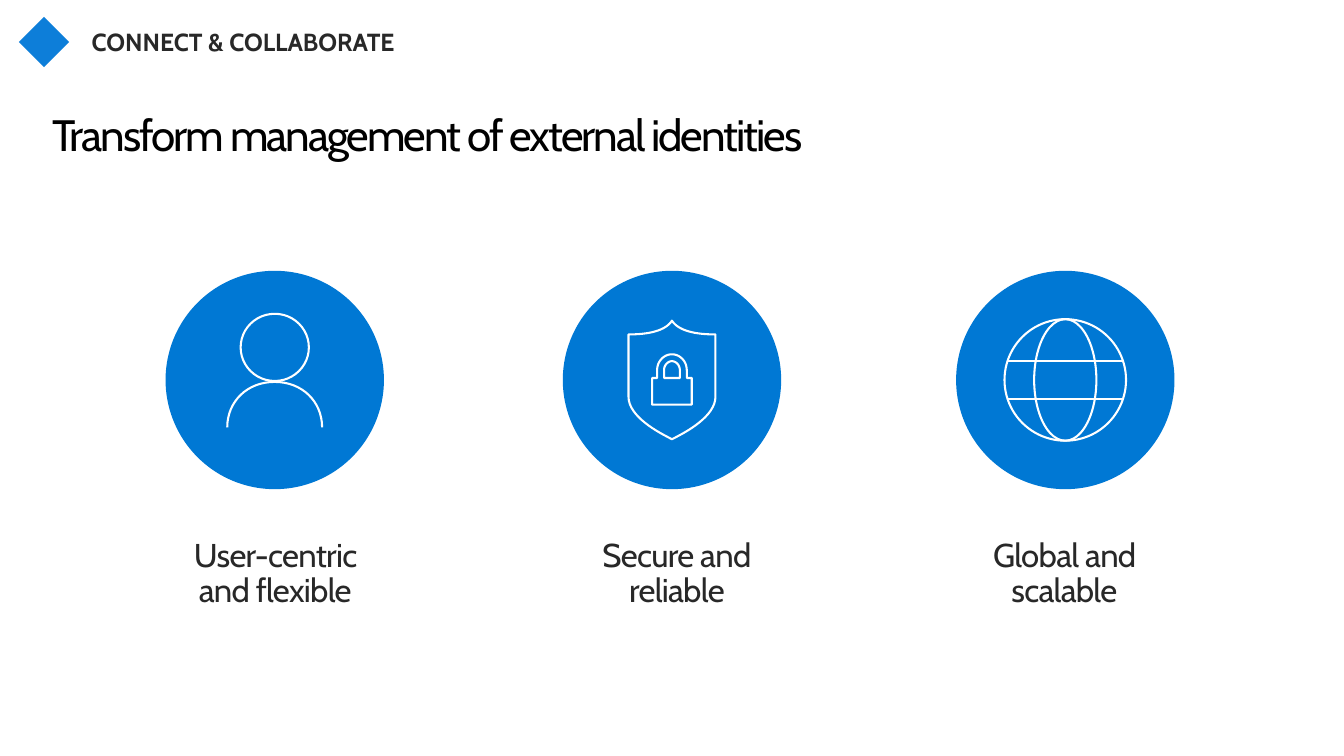
from lxml import etree
from pptx import Presentation
from pptx.dml.color import RGBColor
from pptx.enum.shapes import MSO_CONNECTOR, MSO_SHAPE
from pptx.enum.text import MSO_ANCHOR, MSO_AUTO_SIZE, PP_ALIGN
from pptx.oxml.ns import qn
from pptx.util import Inches, Pt

OVAL, DIAMOND = MSO_SHAPE.OVAL, MSO_SHAPE.DIAMOND
STRAIGHT = MSO_CONNECTOR.STRAIGHT
TOP, FIT = MSO_ANCHOR.TOP, MSO_AUTO_SIZE.SHAPE_TO_FIT_TEXT
LEFT, CENTER = PP_ALIGN.LEFT, PP_ALIGN.CENTER

THEME = {
    "font": "Cabin",
    "disc": RGBColor(0x00, 0x78, 0xD4),
    "badge": RGBColor(0x00, 0x78, 0xD7),
    "stroke": RGBColor(0xFF, 0xFF, 0xFF),
    "title": RGBColor(0x00, 0x00, 0x00),
    "text": RGBColor(0x28, 0x28, 0x28),
    "title_size": Pt(32),
    "label_size": Pt(24),
    "section_size": Pt(18),
    "stroke_width": Pt(1.5),
}

W, H = 13.6, 7.65
DISC = 2.21
DISC_ROW = H / 2 + 0.02
LABEL_ROW, LABEL_HEIGHT = 5.29, 1.04
CURVE_STEPS = 16

# Icon parts in inches from the disc centre: an outline is a start point,
# then lines (x, y) or cubic curves (x1, y1, x2, y2, x, y)
SHOULDERS = [(0.48, 0.48), (0.48, 0.22, 0.28, 0.02, 0, 0.02),
             (-0.28, 0.02, -0.48, 0.22, -0.48, 0.48)]
SHIELD = [(0, -0.6), (0.05, -0.52, 0.18, -0.46, 0.44, -0.46), (0.44, 0.17),
          (0.44, 0.37, 0.14, 0.53, 0, 0.6),
          (-0.14, 0.53, -0.44, 0.37, -0.44, 0.17), (-0.44, -0.46),
          (-0.18, -0.46, -0.05, -0.52, 0, -0.6)]
PADLOCK = [(-0.15, -0.02), (-0.15, -0.1), (-0.15, -0.19, -0.08, -0.26, 0, -0.26),
           (0.08, -0.26, 0.15, -0.19, 0.15, -0.1), (0.15, -0.02), (0.2, -0.02),
           (0.2, 0.25), (-0.2, 0.25), (-0.2, -0.02), (-0.15, -0.02)]
SHACKLE = [(-0.08, -0.02), (-0.08, -0.1), (-0.08, -0.15, -0.04, -0.19, 0, -0.19),
           (0.04, -0.19, 0.08, -0.15, 0.08, -0.1), (0.08, -0.02), (-0.08, -0.02)]

# Rings are (centre y, width, height); parallels are (half width, y)
PILLARS = [
    {"centre": W / 2 - 4.02, "label": ["User-centric and flexible"],
     "label_box": (1.48, 2.61),
     "rings": [(-0.33, 0.69, 0.68)], "outlines": [SHOULDERS], "parallels": []},
    {"centre": W / 2, "label": ["Secure and", "reliable"],
     "label_box": (5.38, 2.94),
     "rings": [], "outlines": [SHIELD, PADLOCK, SHACKLE], "parallels": []},
    {"centre": W / 2 + 3.98, "label": ["Global and scalable"],
     "label_box": (9.56, 2.42),
     "rings": [(0, 1.23, 1.23), (0, 0.63, 1.23)], "outlines": [],
     "parallels": [(0.58, -0.19), (0.58, 0.19)]},
]


def paint(shape, fill=None):
    """Solid fill without a line, or a thin stroke without a fill."""
    shape.shadow.inherit = False
    if fill is not None:
        shape.fill.solid()
        shape.fill.fore_color.rgb = fill
        shape.line.fill.background()
    else:
        shape.fill.background()
        shape.line.color.rgb = THEME["stroke"]
        shape.line.width = THEME["stroke_width"]


def add_text(box, lines, size, color, align, insets, spacing=0, after=0, bold=False):
    left, top, width, height = map(Inches, box)
    frame = slide.shapes.add_textbox(left, top, width, height).text_frame
    frame.word_wrap = True
    frame.vertical_anchor = TOP
    frame.margin_left = frame.margin_right = Inches(insets[0])
    frame.margin_top, frame.margin_bottom = Inches(insets[1]), Inches(insets[2])
    if align == CENTER:
        frame.auto_size = FIT
    paragraph = frame.paragraphs[0]
    paragraph.alignment = align
    paragraph.line_spacing = 0.9
    paragraph.space_after = Pt(after)
    for number, line in enumerate(lines):
        if number:
            paragraph.add_line_break()
        run = paragraph.add_run()
        run.text = line
        run.font.name = THEME["font"]
        run.font.size = size
        run.font.bold = bold
        run.font.color.rgb = color
        run._r.get_or_add_rPr().set("spc", str(spacing))


presentation = Presentation()
presentation.slide_width, presentation.slide_height = Inches(W), Inches(H)
slide = presentation.slides.add_slide(presentation.slide_layouts[6])

# Pillars: disc, icon and label
for pillar in PILLARS:
    centre = pillar["centre"]
    icon = slide.shapes.add_group_shape().shapes
    disc = icon.add_shape(OVAL, Inches(centre - DISC / 2), Inches(DISC_ROW - DISC / 2),
                          Inches(DISC), Inches(DISC))
    paint(disc, THEME["disc"])

    for y, width, height in pillar["rings"]:
        ring = icon.add_shape(OVAL, Inches(centre - width / 2),
                              Inches(DISC_ROW + y - height / 2),
                              Inches(width), Inches(height))
        paint(ring)

    for outline in pillar["outlines"]:
        points = [outline[0]]
        for segment in outline[1:]:
            if len(segment) == 2:
                points.append(segment)
                continue
            x0, y0 = points[-1]
            x1, y1, x2, y2, x3, y3 = segment
            for step in range(1, CURVE_STEPS + 1):
                t = step / CURVE_STEPS
                a, b, c, d = (1 - t) ** 3, 3 * t * (1 - t) ** 2, 3 * t * t * (1 - t), t ** 3
                points.append((a * x0 + b * x1 + c * x2 + d * x3,
                               a * y0 + b * y1 + c * y2 + d * y3))
        placed = [(Inches(centre + x), Inches(DISC_ROW + y)) for x, y in points]
        builder = icon.build_freeform(*placed[0])
        builder.add_line_segments(placed[1:], close=placed[0] == placed[-1])
        paint(builder.convert_to_shape())

    for half, y in pillar["parallels"]:
        row = Inches(DISC_ROW + y)
        parallel = icon.add_connector(STRAIGHT, Inches(centre - half), row,
                                      Inches(centre + half), row)
        parallel.line.color.rgb = THEME["stroke"]
        parallel.line.width = THEME["stroke_width"]
        etree.SubElement(parallel._element.spPr, qn("a:effectLst"))

    label_left, label_width = pillar["label_box"]
    add_text((label_left, LABEL_ROW, label_width, LABEL_HEIGHT), pillar["label"],
             THEME["label_size"], THEME["text"], CENTER, (0.2, 0.16, 0.16),
             spacing=-50, after=5.9)

# Title
add_text((0.53, 0.97, 12.65, 0.85), ["Transform management of external identities"],
         THEME["title_size"], THEME["title"], LEFT, (0, 0.18, 0), spacing=-150)

# Section name with its badge
add_text((0.57, 0.17, 3.78, 0.6), ["CONNECT & COLLABORATE"], THEME["section_size"],
         THEME["text"], CENTER, (0.2, 0.16, 0.16), after=6, bold=True)
badge = slide.shapes.add_shape(DIAMOND, Inches(0.19), Inches(0.17), Inches(0.51), Inches(0.51))
paint(badge, THEME["badge"])
badge_color = badge._element.spPr.find(qn("a:solidFill"))[0]
etree.SubElement(badge_color, qn("a:alpha"), val="95000")

presentation.save("out.pptx")
